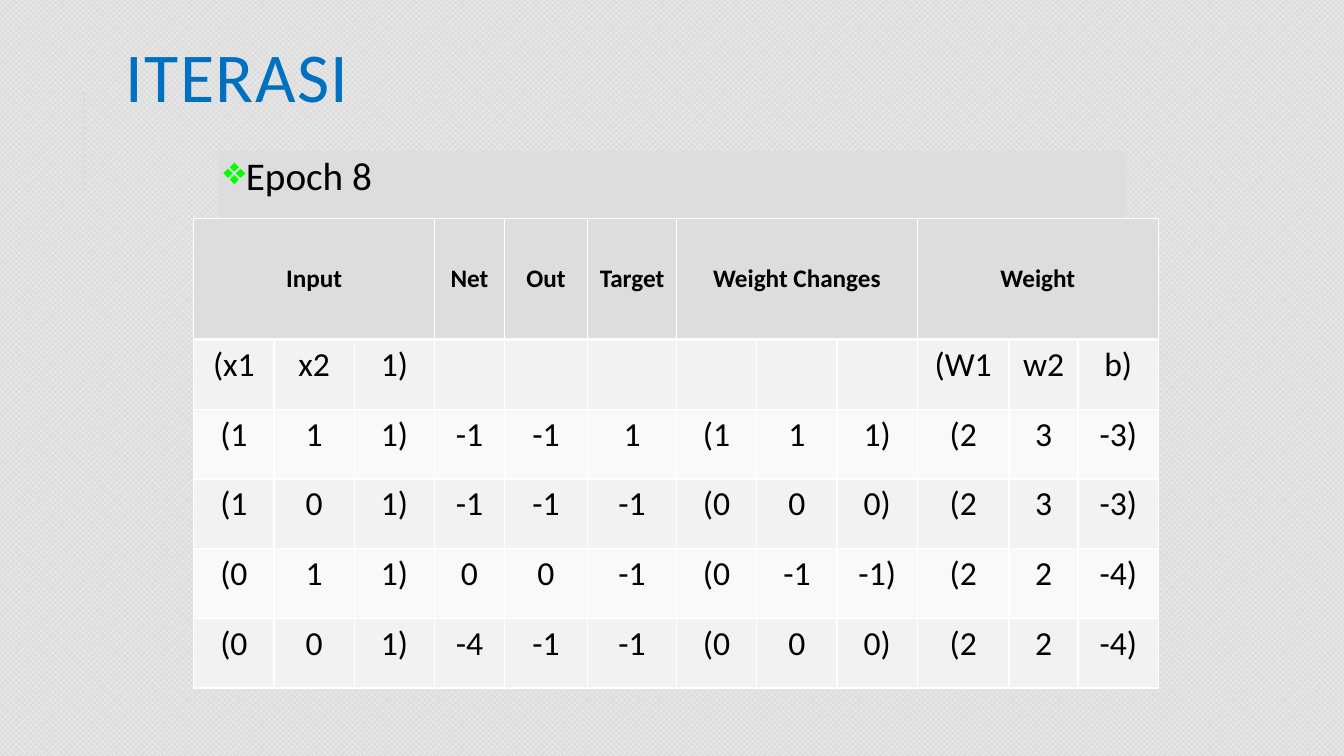
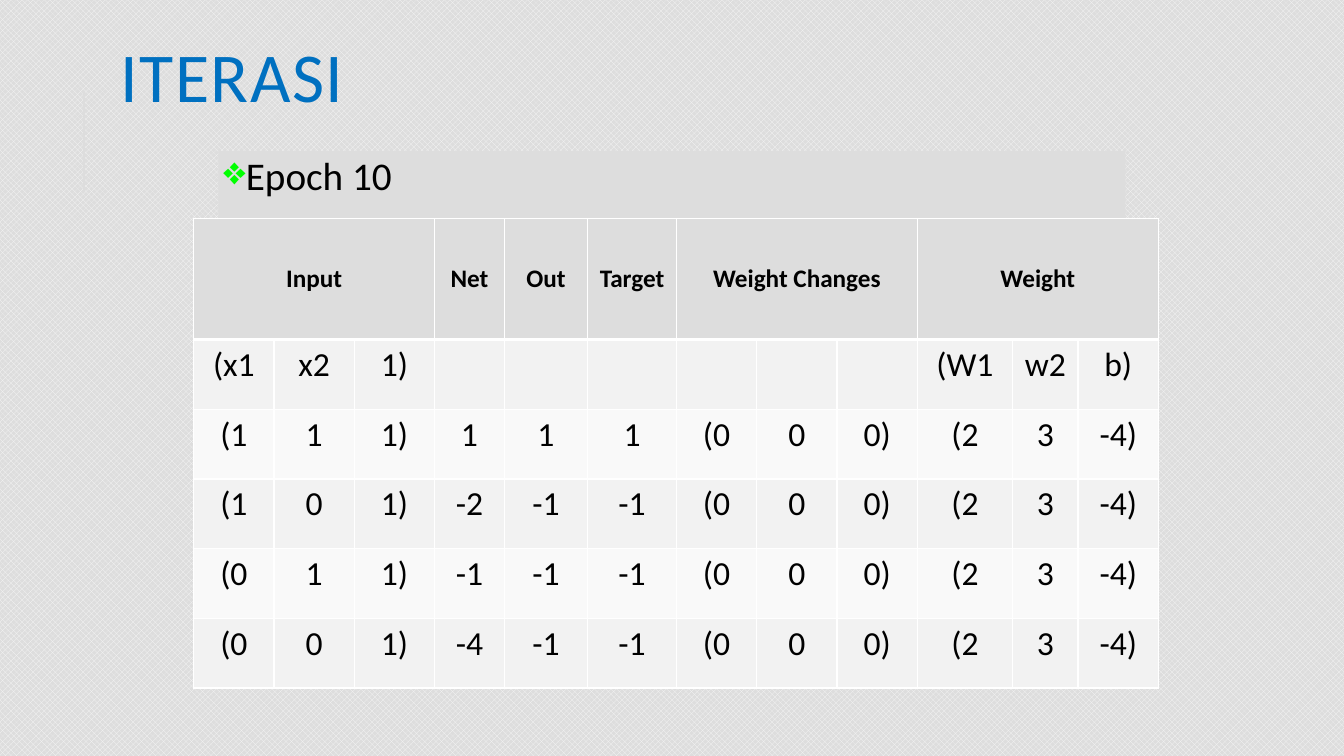
"""Build two slides that show perceptron training epochs as tables."""
from lxml.etree import SubElement
from pptx import Presentation
from pptx.dml.color import RGBColor
from pptx.enum.dml import MSO_PATTERN
from pptx.enum.shapes import MSO_CONNECTOR, MSO_SHAPE
from pptx.enum.text import MSO_ANCHOR, MSO_AUTO_SIZE, PP_ALIGN
from pptx.oxml.ns import qn
from pptx.util import Pt

BLUE = RGBColor(0x00, 0x70, 0xC0)
GREEN = RGBColor(0x00, 0xFF, 0x00)
BLACK = RGBColor(0x00, 0x00, 0x00)
WHITE = RGBColor(0xFF, 0xFF, 0xFF)
GREY = RGBColor(0xDD, 0xDD, 0xDD)
PALE = RGBColor(0xF8, 0xF8, 0xF8)
BANDS = (RGBColor(0xF2, 0xF2, 0xF2), RGBColor(0xF9, 0xF9, 0xF9))
FONT = "Calibri"

HEADS = [("Input", 3), ("Net", 1), ("Out", 1), ("Target", 1),
         ("Weight Changes", 3), ("Weight", 3)]
NAMES = ["(x1", "x2", "1)", "", "", "", "", "", "", "(W1", "w2", "b)"]
SLIDES = [
    {"title": "ITERASI", "left": 82.8, "epoch": "Epoch 8",
     "ends": [65.5, 49.3, 57.4],
     "rows": ["(1 1 1) -1 -1 1 (1 1 1) (2 3 -3)",
              "(1 0 1) -1 -1 -1 (0 0 0) (2 3 -3)",
              "(0 1 1) 0 0 -1 (0 -1 -1) (2 2 -4)",
              "(0 0 1) -4 -1 -1 (0 0 0) (2 2 -4)"]},
    {"title": "ITERASI", "left": 79.2, "epoch": "Epoch 10",
     "ends": [68, 46.8, 57.4],
     "rows": ["(1 1 1) 1 1 1 (0 0 0) (2 3 -4)",
              "(1 0 1) -2 -1 -1 (0 0 0) (2 3 -4)",
              "(0 1 1) -1 -1 -1 (0 0 0) (2 3 -4)",
              "(0 0 1) -4 -1 -1 (0 0 0) (2 3 -4)"]},
]
WIDTHS = [57.4] * 3 + [49.7, 59.6, 63.4] + [57.4] * 3
HEAD_H, ROW_H = 86.4, 49.8


def add_run(para, text, size, color=BLACK, bold=False):
    run = para.add_run()
    run.text = text
    font = run.font
    font.name, font.size, font.bold = FONT, Pt(size), bold
    font.color.rgb = color
    return run


def add_color(node, color):
    SubElement(node, qn("a:srgbClr"), val=str(color))


def add_title(slide, text, left):
    title = slide.shapes.title
    title.left, title.top = Pt(left), Pt(0)
    title.width, title.height = Pt(765.4), Pt(118)
    frame = title.text_frame
    frame.auto_size = MSO_AUTO_SIZE.NONE
    frame.vertical_anchor = MSO_ANCHOR.MIDDLE
    para = frame.paragraphs[0]
    para.alignment = PP_ALIGN.LEFT
    para.line_spacing = 0.8
    run = add_run(para, text, 50, BLUE)
    run.font._element.set("spc", "100")


def add_rule(slide):
    rule = slide.shapes.add_connector(
        MSO_CONNECTOR.STRAIGHT, Pt(60), Pt(136.8), Pt(60), Pt(64.8))
    rule.line.color.rgb = GREY
    rule.line.width = Pt(1.5)
    SubElement(rule._element.spPr, qn("a:effectLst"))


def add_panel(slide, text):
    panel = slide.shapes.add_shape(
        MSO_SHAPE.RECTANGLE, Pt(156), Pt(108), Pt(648), Pt(374.4))
    panel.shadow.inherit = False
    panel.fill.solid()
    panel.fill.fore_color.rgb = GREY
    panel.line.fill.background()
    frame = panel.text_frame
    frame.word_wrap = True
    frame.vertical_anchor = MSO_ANCHOR.TOP
    frame.margin_left = frame.margin_right = Pt(3.6)
    frame.margin_top = frame.margin_bottom = Pt(3.6)
    para = frame.paragraphs[0]
    para.alignment = PP_ALIGN.LEFT
    para.line_spacing = 0.9
    para.space_before, para.space_after = Pt(12), Pt(2)
    props = para._p.get_or_add_pPr()
    props.set("marL", str(Pt(7.2)))
    props.set("indent", str(-Pt(7.2)))
    add_color(SubElement(props, qn("a:buClr")), GREEN)
    SubElement(props, qn("a:buChar"), char="❖")
    add_run(para, text, 28)


def style_cell(cell, fill, top=1, base=1):
    props = cell._tc.get_or_add_tcPr()
    for side, width in zip("LRTB", (1, 1, top, base)):
        line = SubElement(props, qn(f"a:ln{side}"), w=str(Pt(width)))
        add_color(SubElement(line, qn("a:solidFill")), WHITE)
    cell.fill.solid()
    cell.fill.fore_color.rgb = fill


def fill_cell(cell, text, size, bold=False):
    para = cell.text_frame.paragraphs[0]
    para.alignment = PP_ALIGN.CENTER
    if text:
        add_run(para, text, size, bold=bold)


def add_grid(slide, rows, ends):
    widths = WIDTHS + ends
    body = [NAMES] + [row.split() for row in rows]
    table = slide.shapes.add_table(
        len(body) + 1, len(widths), Pt(138.4), Pt(156.2),
        Pt(sum(widths)), Pt(HEAD_H + ROW_H * len(body))).table
    for col, width in zip(table.columns, widths):
        col.width = Pt(width)
    for num, row in enumerate(table.rows):
        row.height = Pt(ROW_H if num else HEAD_H)
    for col in range(len(widths)):
        style_cell(table.cell(0, col), GREY, base=3)
    col = 0
    for text, span in HEADS:
        cell = table.cell(0, col)
        if span > 1:
            cell.merge(table.cell(0, col + span - 1))
        cell.vertical_anchor = MSO_ANCHOR.MIDDLE
        fill_cell(cell, text, 18, True)
        col += span
    for num, row in enumerate(body):
        for col, text in enumerate(row):
            cell = table.cell(num + 1, col)
            style_cell(cell, BANDS[num % 2], top=1 if num else 3)
            fill_cell(cell, text, 24)


def main():
    deck = Presentation()
    deck.slide_width, deck.slide_height = Pt(960), Pt(540)
    back = deck.slide_master.background.fill
    back.patterned()
    back.pattern = MSO_PATTERN.SOLID_DIAMOND
    back.fore_color.rgb, back.back_color.rgb = PALE, GREY
    for data in SLIDES:
        slide = deck.slides.add_slide(deck.slide_layouts[5])
        add_rule(slide)
        add_title(slide, data["title"], data["left"])
        add_panel(slide, data["epoch"])
        add_grid(slide, data["rows"], data["ends"])
    deck.save("out.pptx")


if __name__ == "__main__":
    main()
